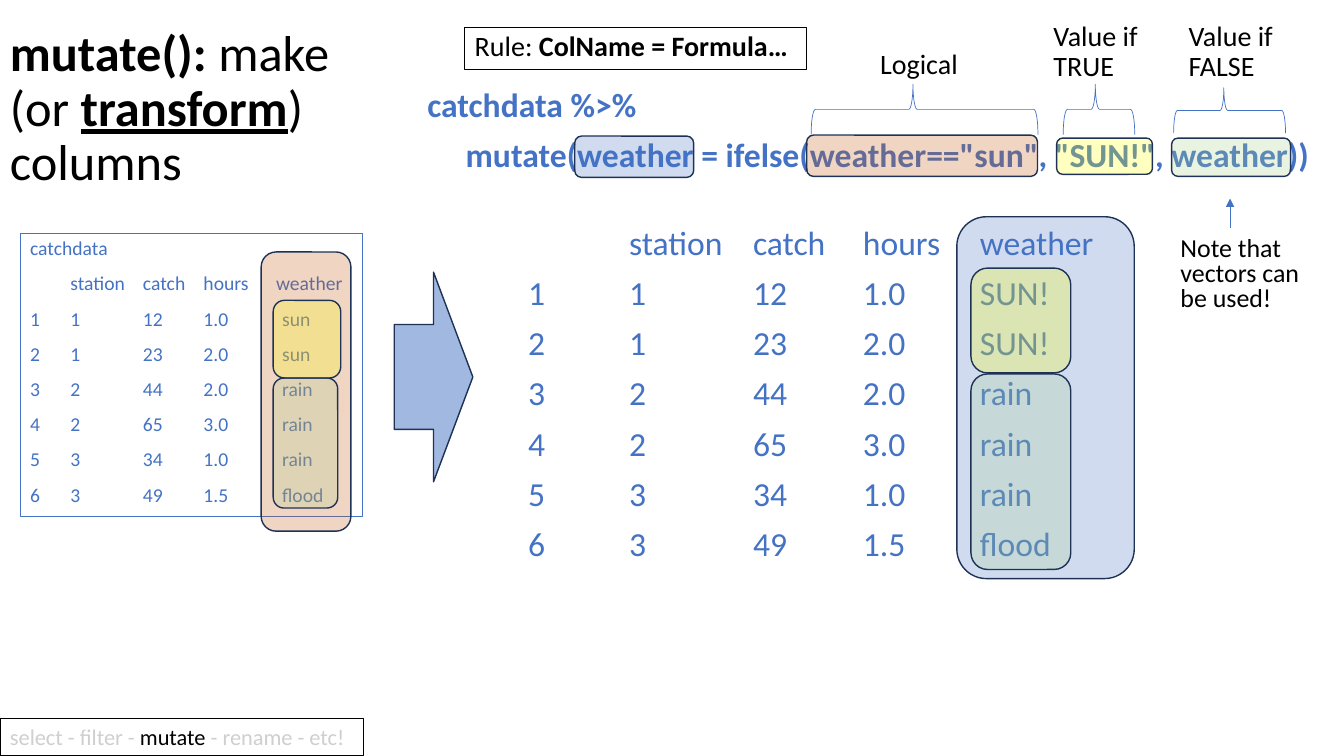
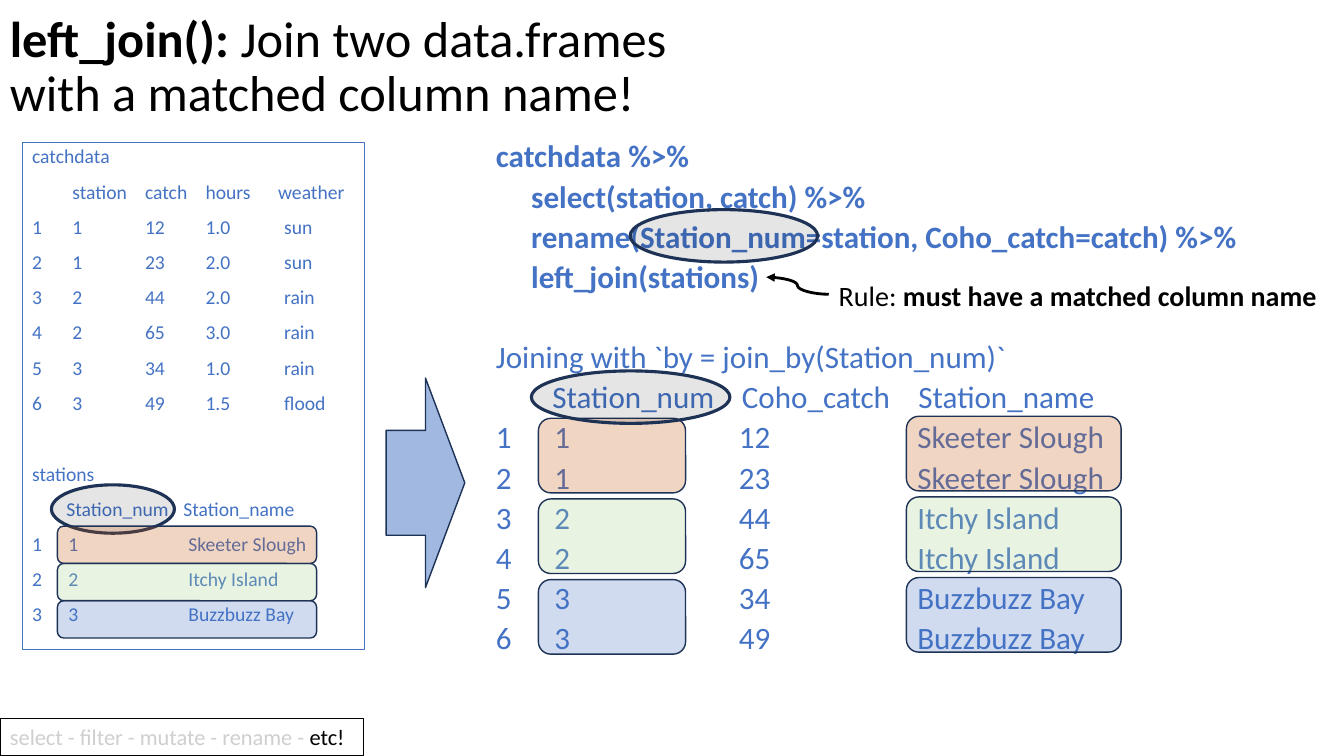
"""Build two slides that explain the dplyr verbs mutate() and left_join()."""
from dataclasses import dataclass
from typing import NamedTuple, Optional

from lxml.etree import SubElement
from pptx import Presentation
from pptx.dml.color import RGBColor
from pptx.enum.shapes import MSO_CONNECTOR as Cxn, MSO_SHAPE as Geo
from pptx.enum.text import MSO_ANCHOR as Anchor
from pptx.oxml.ns import qn
from pptx.shapes.autoshape import Shape
from pptx.slide import Slide
from pptx.util import Inches, Pt


@dataclass(frozen=True)
class Theme:
    font: str = "Calibri"
    black: str = "000000"
    white: str = "FFFFFF"
    blue: str = "4472C4"
    navy: str = "1E3256"
    orange: str = "C55A11"
    green: str = "A9D18E"
    yellow: str = "FFFF00"
    faded: str = "D0CECE"
    title: float = 36
    code: float = 24
    code_dense: float = 22.2
    label: float = 20
    note: float = 18.5
    footer: float = 16
    data: float = 14


T = Theme()


class Box(NamedTuple):
    x: float
    y: float
    w: float
    h: float


class Run(NamedTuple):
    text: str
    bold: bool = False
    underline: bool = False
    color: Optional[str] = None


@dataclass(frozen=True)
class Para:
    runs: tuple[Run, ...]
    tabs: tuple[float, ...] = ()
    indent: float = 0
    before: float = 10


@dataclass(frozen=True)
class Style:
    size: float
    color: str = T.black
    spacing: float = 0.9
    line: Optional[str] = None
    anchor: Anchor = Anchor.TOP


@dataclass(frozen=True)
class Mark:
    box: Box
    color: str
    geo: Geo = Geo.ROUNDED_RECTANGLE
    opacity: int = 25
    width: float = 1


TITLE = Style(T.title, anchor=Anchor.MIDDLE)
LABEL = Style(T.label, line=T.white)
DATA = Style(T.data, T.blue, line=T.blue)

HEADER = ("", "station", "catch", "hours", "weather")
CATCH = (
    ("1", "1", "12", "1.0", "sun"),
    ("2", "1", "23", "2.0", "sun"),
    ("3", "2", "44", "2.0", "rain"),
    ("4", "2", "65", "3.0", "rain"),
    ("5", "3", "34", "1.0", "rain"),
    ("6", "3", "49", "1.5", "flood"),
)
STATIONS = {"1": "Skeeter Slough", "2": "Itchy Island", "3": "Buzzbuzz Bay"}
VERBS = ("select", "filter", "mutate", "rename", "etc!")


def para(text: str, bold: bool = False, indent: float = 0, before: float = 10) -> Para:
    return Para((Run(text, bold),), indent=indent, before=before)


def row(cells: tuple[str, ...], tabs: tuple[float, ...], before: float = 10) -> Para:
    return Para((Run("\t".join(cells)),), tabs, before=before)


def catch_rows() -> list[Para]:
    head = (0.4, 1.12, 1.72, 2.44)
    body = (0.4, 1.12, 1.72, 2.5)
    return [para("catchdata"), row(HEADER, head), *(row(c, body) for c in CATCH)]


def place(s: Slide, geo: Geo, box: Box) -> Shape:
    sp = s.shapes.add_shape(geo, *map(Inches, box))
    sp.shadow.inherit = False
    sp.fill.background()
    return sp


def outline(sp: Shape, color: str, width: float) -> None:
    sp.line.color.rgb = RGBColor.from_string(color)
    sp.line.width = Pt(width)


def write(s: Slide, box: Box, paras: list[Para], style: Style) -> None:
    if style.line:
        sp = place(s, Geo.RECTANGLE, box)
        outline(sp, style.line, 0.75)
    else:
        sp = s.shapes.add_textbox(*map(Inches, box))
    tf = sp.text_frame
    tf.word_wrap = True
    tf.vertical_anchor = style.anchor
    for i, item in enumerate(paras):
        p = tf.add_paragraph() if i else tf.paragraphs[0]
        p.text = item.runs[0].text
        for run in item.runs[1:]:
            p.add_run().text = run.text
        p.alignment = 1
        p.line_spacing = style.spacing
        p.space_before = Pt(item.before if i else 0)
        pPr = p._p.get_or_add_pPr()
        if item.indent:
            pPr.set("marL", str(Inches(item.indent)))
        if item.tabs:
            stops = SubElement(pPr, qn("a:tabLst"))
            for pos in item.tabs:
                SubElement(stops, qn("a:tab"), pos=str(Inches(pos)), algn="l")
        for r, run in zip(p.runs, item.runs):
            r.font.name = T.font
            r.font.size = Pt(style.size)
            r.font.bold = run.bold
            r.font.underline = run.underline
            r.font.color.rgb = RGBColor.from_string(run.color or style.color)


def draw_mark(s: Slide, mark: Mark) -> None:
    sp = place(s, mark.geo, mark.box)
    sp.fill.solid()
    sp.fill.fore_color.rgb = RGBColor.from_string(mark.color)
    color = sp._element.spPr.find(".//" + qn("a:srgbClr"))
    SubElement(color, qn("a:alpha"), val=str(mark.opacity * 1000))
    outline(sp, T.navy, mark.width)


def draw_ellipse(s: Slide, box: Box) -> None:
    draw_mark(s, Mark(box, T.black, Geo.OVAL, 10, 2.25))


def draw_block_arrow(s: Slide, x: float, y: float) -> None:
    draw_mark(s, Mark(Box(x, y, 0.78, 2.08), T.blue, Geo.RIGHT_ARROW, 50))


def draw_brace(s: Slide, box: Box) -> None:
    sp = place(s, Geo.RIGHT_BRACE, box)
    sp.rotation = 270
    sp.adjustments[0], sp.adjustments[1] = 0.083, 0.449
    outline(sp, T.blue, 0.5)


def draw_pointer(s: Slide, kind: Cxn, start: tuple[float, float],
                 end: tuple[float, float], color: str, width: float) -> None:
    c = s.shapes.add_connector(kind, *map(Inches, (*start, *end)))
    c.line.color.rgb = RGBColor.from_string(color)
    c.line.width = Pt(width)
    spPr = c._element.spPr
    SubElement(spPr.find(qn("a:ln")), qn("a:tailEnd"), type="triangle")
    SubElement(spPr, qn("a:effectLst"))


def draw_footer(s: Slide, active: str) -> None:
    before, after = VERBS[:VERBS.index(active)], VERBS[VERBS.index(active) + 1:]
    runs = [Run("".join(f"{v} - " for v in before)), Run(active, color=T.black)]
    if after:
        runs.append(Run("".join(f" - {v}" for v in after)))
    write(s, Box(0, 7.13, 3.61, 0.37), [Para(tuple(runs))],
          Style(T.footer, T.faded, 1.0, T.black))


def mutate_slide(s: Slide) -> None:
    tabs = (1.0, 2.0, 3.23, 4.32, 5.48)
    result = [("", *c[:4], "SUN!" if c[4] == "sun" else c[4]) for c in CATCH]
    write(s, Box(4.14, 0.83, 9.01, 5.54), [
        para("catchdata %>%", True),
        para('mutate(weather = ifelse(weather=="sun", "SUN!", weather))', True, 0.38),
        row(("", *HEADER), tabs, 36.4),
        *(row(c, tabs) for c in result),
    ], Style(T.code, T.blue))
    write(s, Box(0, 0, 3.6, 2.18), [Para((
        Run("mutate(): ", True), Run("make (or "),
        Run("transform", True, True), Run(") columns")))], TITLE)
    write(s, Box(4.61, 0.27, 3.39, 0.42),
          [Para((Run("Rule: "), Run("ColName = Formula…", True)))],
          Style(T.label, line=T.black))
    write(s, Box(0.2, 2.32, 3.4, 2.8), catch_rows(), DATA)
    for box, text in (
        (Box(8.63, 0.45, 1.11, 0.41), "Logical"),
        (Box(10.35, 0.17, 1.11, 0.74), "Value if TRUE"),
        (Box(11.69, 0.17, 1.11, 0.74), "Value if FALSE"),
    ):
        write(s, box, [para(text)], LABEL)
    for box in (Box(8.92, -0.04, 0.5, 2.25), Box(10.65, 0.73, 0.5, 0.71),
                Box(11.97, 0.54, 0.45, 1.11)):
        draw_brace(s, box)
    write(s, Box(11.61, 2.31, 1.48, 0.9), [para("Note that vectors can be used!")],
          Style(T.note, spacing=0.8, line=T.white))
    draw_pointer(s, Cxn.STRAIGHT, (12.2, 2.26), (12.2, 1.97), T.blue, 0.5)
    draw_block_arrow(s, 3.91, 2.7)
    for mark in (
        Mark(Box(2.59, 2.5, 0.89, 2.77), T.orange),
        Mark(Box(8, 1.34, 2.29, 0.41), T.orange),
        Mark(Box(2.71, 3.75, 0.64, 1.29), T.green),
        Mark(Box(11.62, 1.37, 1.18, 0.38), T.green),
        Mark(Box(2.71, 2.98, 0.67, 0.77), T.yellow),
        Mark(Box(10.48, 1.37, 0.95, 0.36), T.yellow),
        Mark(Box(9.49, 2.15, 1.76, 3.59), T.blue),
        Mark(Box(9.63, 2.66, 0.99, 1.04), T.yellow),
        Mark(Box(9.63, 3.71, 0.99, 1.94), T.green),
        Mark(Box(5.7, 1.35, 1.18, 0.41), T.blue),
    ):
        draw_mark(s, mark)
    draw_footer(s, "mutate")


def join_slide(s: Slide) -> None:
    joined = [(c[0], c[1], c[2], STATIONS[c[1]]) for c in CATCH]
    write(s, Box(4.82, 1.41, 7.72, 5.37), [
        para("catchdata %>%", True),
        para("select(station, catch) %>%", True, 0.35),
        para("rename(Station_num=station, Coho_catch=catch) %>%", True, 0.35),
        para("left_join(stations)", True, 0.35),
        para("Joining with `by = join_by(Station_num)`", before=38.8),
        row(("", "Station_num", "Coho_catch", "Station_name"), (0.56, 2.44, 4.19)),
        *(row(c, (0.58, 2.41, 4.18)) for c in joined),
    ], Style(T.code_dense, T.blue, 0.7))
    write(s, Box(0, 0, 7.24, 1.35), [Para((
        Run("left_join(): ", True),
        Run("Join two data.frames with a matched column name!")))], TITLE)
    write(s, Box(8.22, 2.75, 5.12, 0.42),
          [Para((Run("Rule: "), Run("must have a matched column name", True)))],
          Style(T.label))
    write(s, Box(0.22, 1.41, 3.4, 5.03), [
        *catch_rows(),
        para("stations", before=35.4),
        row(("", "Station_num", "Station_name"), (0.34, 1.5)),
        *(row((n, n, name), (0.36, 1.55)) for n, name in STATIONS.items()),
    ], DATA)
    draw_pointer(s, Cxn.CURVE, (8.22, 2.92), (7.6, 2.75), T.black, 2)
    draw_ellipse(s, Box(0.51, 4.81, 1.22, 0.48))
    draw_block_arrow(s, 3.83, 3.75)
    columns = (
        (Box(0.57, 5.22, 2.57, 0.37), 0.37),
        (Box(5.34, 4.15, 1.46, 0.74), 0.8),
        (Box(8.99, 4.13, 2.13, 0.74), 0.8),
    )
    for i, color in enumerate((T.orange, T.green, T.blue)):
        for box, pitch in columns:
            draw_mark(s, Mark(box._replace(y=box.y + i * pitch), color))
    draw_ellipse(s, Box(5.27, 3.68, 1.97, 0.52))
    draw_ellipse(s, Box(6.25, 2.08, 1.86, 0.52))
    draw_footer(s, "etc!")


def main() -> None:
    prs = Presentation()
    prs.slide_width, prs.slide_height = Inches(13.33), Inches(7.5)
    for build in (mutate_slide, join_slide):
        build(prs.slides.add_slide(prs.slide_layouts[6]))
    prs.save("out.pptx")


if __name__ == "__main__":
    main()
